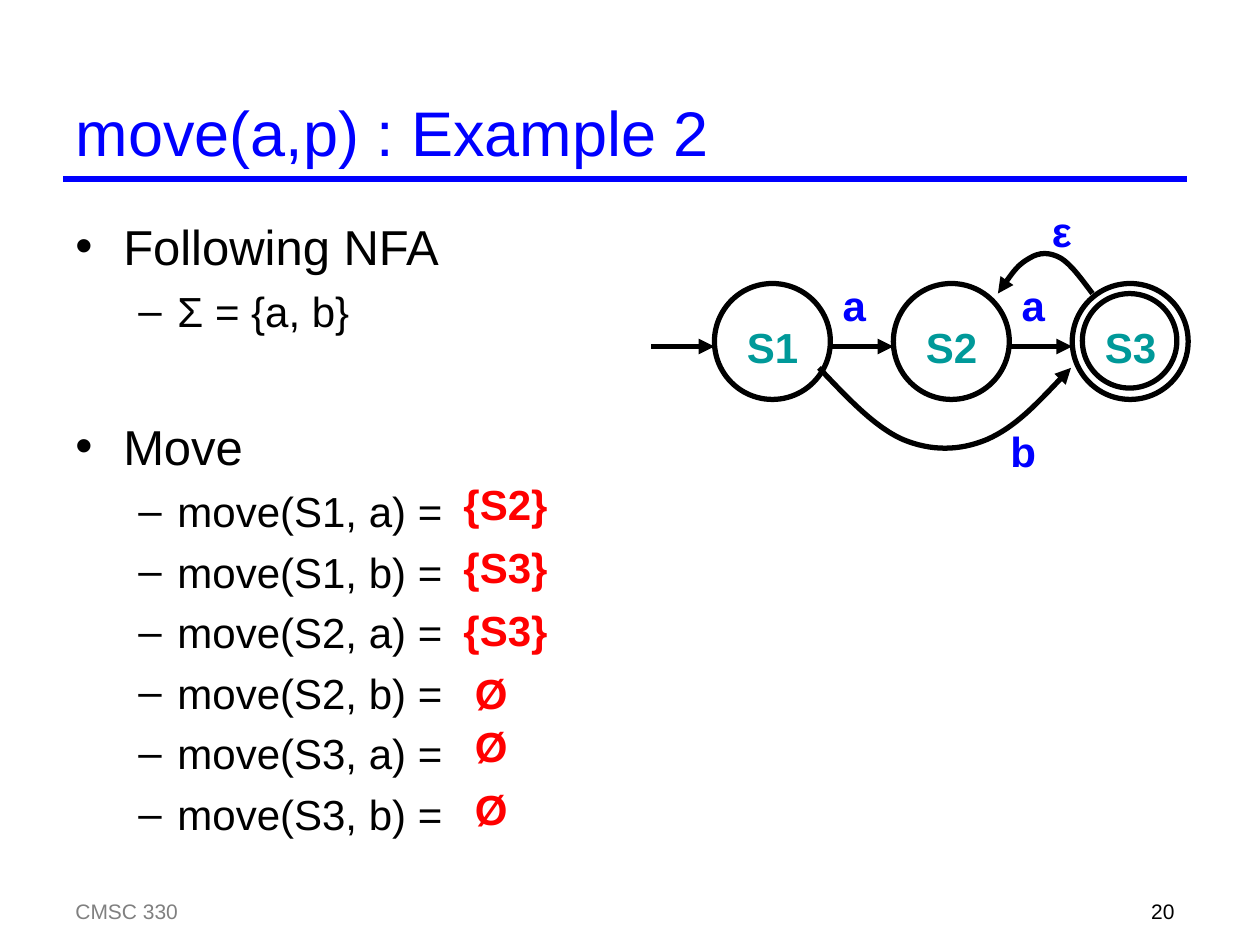
import pptx
import pptx.util
import pptx.dml.color
import pptx.enum.shapes
import pptx.enum.text
import pptx.oxml
import pptx.oxml.ns
from lxml import etree

Inches = pptx.util.Inches
Pt = pptx.util.Pt
RGBColor = pptx.dml.color.RGBColor
PP_ALIGN = pptx.enum.text.PP_ALIGN
qn = pptx.oxml.ns.qn

BLUE = RGBColor(0x00, 0x00, 0xFF)
BLACK = RGBColor(0x00, 0x00, 0x00)
GRAY = RGBColor(0x80, 0x80, 0x80)
TEAL = RGBColor(0x00, 0x99, 0x99)
RED = RGBColor(0xFF, 0x00, 0x00)
FONT = "Arial"


def add_span(para, text, size, color, bold=False):
    span = para.add_run()
    span.text = text
    span.font.name = FONT
    span.font.size = Pt(size)
    span.font.bold = bold
    span.font.color.rgb = color


def add_frame(slide, left, top, width, height):
    box = slide.shapes.add_textbox(Inches(left), Inches(top), Inches(width), Inches(height))
    box.text_frame.word_wrap = True
    return box.text_frame


def add_label(slide, text, left, top, width, color, size=24, bold=True, height=0.5, align=PP_ALIGN.LEFT):
    para = add_frame(slide, left, top, width, height).paragraphs[0]
    para.alignment = align
    add_span(para, text, size, color, bold)


def style_line(shape, color=BLACK, arrow=False):
    shape.line.color.rgb = color
    shape.line.width = Pt(3)
    if arrow:
        line = shape.line._get_or_add_ln()
        etree.SubElement(line, qn("a:tailEnd"), type="triangle")


def add_straight(slide, left, top, width, color=BLACK, arrow=False):
    line = slide.shapes.add_connector(
        pptx.enum.shapes.MSO_CONNECTOR.STRAIGHT,
        Inches(left), Inches(top), Inches(left + width), Inches(top))
    style_line(line, color, arrow)
    etree.SubElement(line._element.spPr, qn("a:effectLst"))


def add_circle(slide, left, top, size):
    circle = slide.shapes.add_shape(
        pptx.enum.shapes.MSO_SHAPE.OVAL, Inches(left), Inches(top), Inches(size), Inches(size))
    circle.shadow.inherit = False
    circle.fill.background()
    style_line(circle)


def add_curve(slide, left, top, points):
    places = [(Inches(left + x), Inches(top + y)) for x, y in points]
    builder = slide.shapes.build_freeform(*places[0])
    builder.add_line_segments(places[1:], close=False)
    curve = builder.convert_to_shape()
    curve.shadow.inherit = False
    curve.fill.background()
    style_line(curve, arrow=True)
    steps = list(curve._element.iter(qn("a:lnTo")))
    for start in range(0, len(steps), 3):
        bezier = etree.Element(qn("a:cubicBezTo"))
        steps[start].addprevious(bezier)
        for step in steps[start:start + 3]:
            bezier.append(step[0])
            step.getparent().remove(step)


def add_heading(slide, left, top, width, height):
    title = slide.shapes.title
    title.left, title.top = Inches(left), Inches(top)
    title.width, title.height = Inches(width), Inches(height)
    frame = title.text_frame
    frame.auto_size = pptx.enum.text.MSO_AUTO_SIZE.NONE
    frame.vertical_anchor = pptx.enum.text.MSO_ANCHOR.MIDDLE
    para = frame.paragraphs[0]
    para.alignment = PP_ALIGN.LEFT
    add_span(para, "move(a,p) : Example 2", 36, BLUE)
    add_straight(slide, left, top + height, width, BLUE)


def add_outline(slide, left, top, width, height):
    items = [(0, "Following NFA", 0), (1, "Σ = {a, b}", 5.8), (0, "Move", 46)]
    items += [(1, f"move({state}, {symbol}) =", 5.8)
              for state in ("S1", "S2", "S3") for symbol in "ab"]
    levels = [(28, 0.38, 0.38, "•"), (24, 0.81, 0.31, "–")]
    frame = add_frame(slide, left, top, width, height)
    for index, (level, text, gap) in enumerate(items):
        size, margin, hanging, mark = levels[level]
        para = frame.add_paragraph() if index else frame.paragraphs[0]
        para.level = level
        para.space_before = Pt(gap)
        properties = para._p.get_or_add_pPr()
        properties.set("marL", str(Inches(margin)))
        properties.set("indent", str(-Inches(hanging)))
        etree.SubElement(properties, qn("a:buFont"), typeface=FONT)
        etree.SubElement(properties, qn("a:buChar"), char=mark)
        add_span(para, text, size, BLACK)


def add_answers(slide, left, top, width):
    answers = [("{S2}", 0, 0), ("{S3}", 0, 0.5), ("{S3}", 0, 1),
               ("Ø", 0.09, 1.5), ("Ø", 0.09, 1.92), ("Ø", 0.09, 2.42)]
    for text, shift, drop in answers:
        add_label(slide, text, left + shift, top + drop, width, RED)


def add_automaton(slide, left, top):
    size, gap, stem = 0.92, 0.5, 0.67
    pitch = size + gap
    for index, state in enumerate(("S1", "S2", "S3")):
        x = left + gap + index * pitch
        add_circle(slide, x, top + stem, size)
        add_label(slide, state, x + 0.16, top + 0.92, 0.67, TEAL)
        add_straight(slide, x - gap, top + 1.17, gap, arrow=True)
        if index:
            add_label(slide, "a", x - gap, top + 0.59, 0.5, BLUE)
    add_circle(slide, left + gap + 2 * pitch + 0.08, top + stem + 0.08, 0.75)
    add_curve(slide, left + 1.33, top + 1.34, [
        (0, 0), (0.22, 0.23), (0.44, 0.47), (0.67, 0.57), (0.89, 0.66),
        (1.11, 0.66), (1.33, 0.57), (1.56, 0.47), (1.78, 0.23), (2, 0)])
    add_curve(slide, left + 2.75, top + 0.42, [
        (0.75, 0.33), (0.66, 0.21), (0.58, 0.1), (0.5, 0.05), (0.41, 0),
        (0.33, 0), (0.25, 0.05), (0.16, 0.1), (0.08, 0.21), (0, 0.33)])
    add_label(slide, "b", left + 2.75, top + 1.75, 0.5, BLUE)
    add_label(slide, "ε", left + 3.08, top, 0.5, BLUE)


def add_footer(slide, left, top, width):
    add_label(slide, "CMSC 330", left, top, 6.08, GRAY, 12, False, 0.25)
    add_label(slide, "20", left + width - 2.08, top, 2.08, BLACK, 12, False, 0.25, PP_ALIGN.RIGHT)


deck = pptx.Presentation()
deck.slide_width, deck.slide_height = Inches(10), Inches(7.5)
page = deck.slides.add_slide(deck.slide_layouts[5])
add_heading(page, 0.5, 0.67, 8.92, 0.75)
add_outline(page, 0.5, 1.67, 8.92, 5.33)
add_automaton(page, 5.17, 1.58)
add_answers(page, 3.58, 3.75, 2.42)
add_footer(page, 0.5, 7.08, 8.92)
deck.save("out.pptx")
